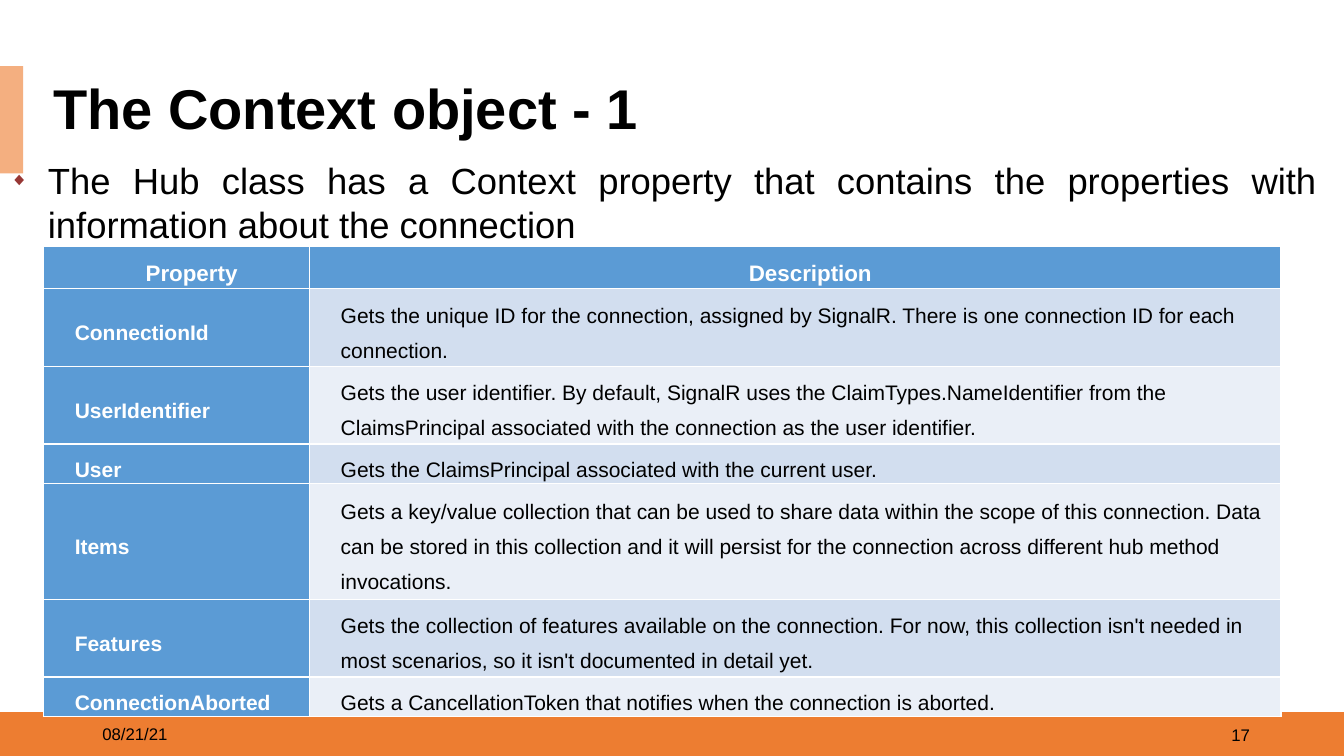
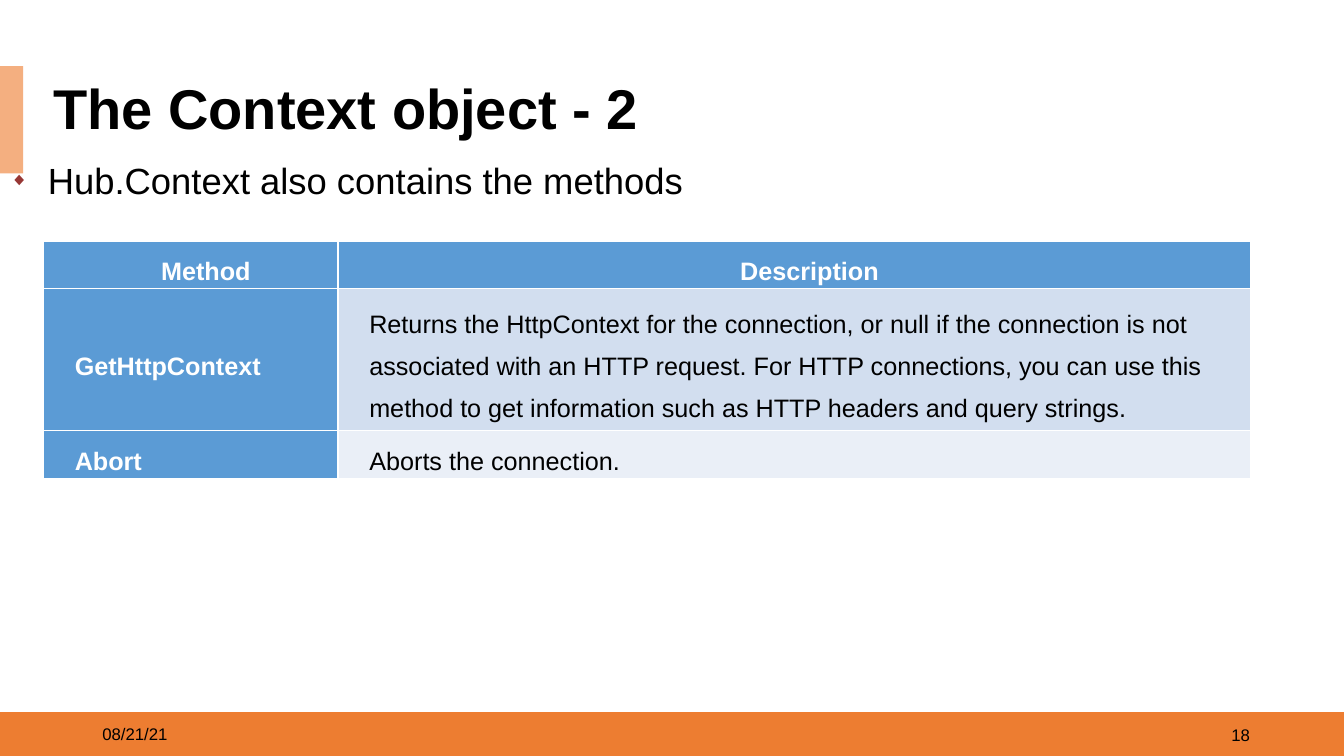
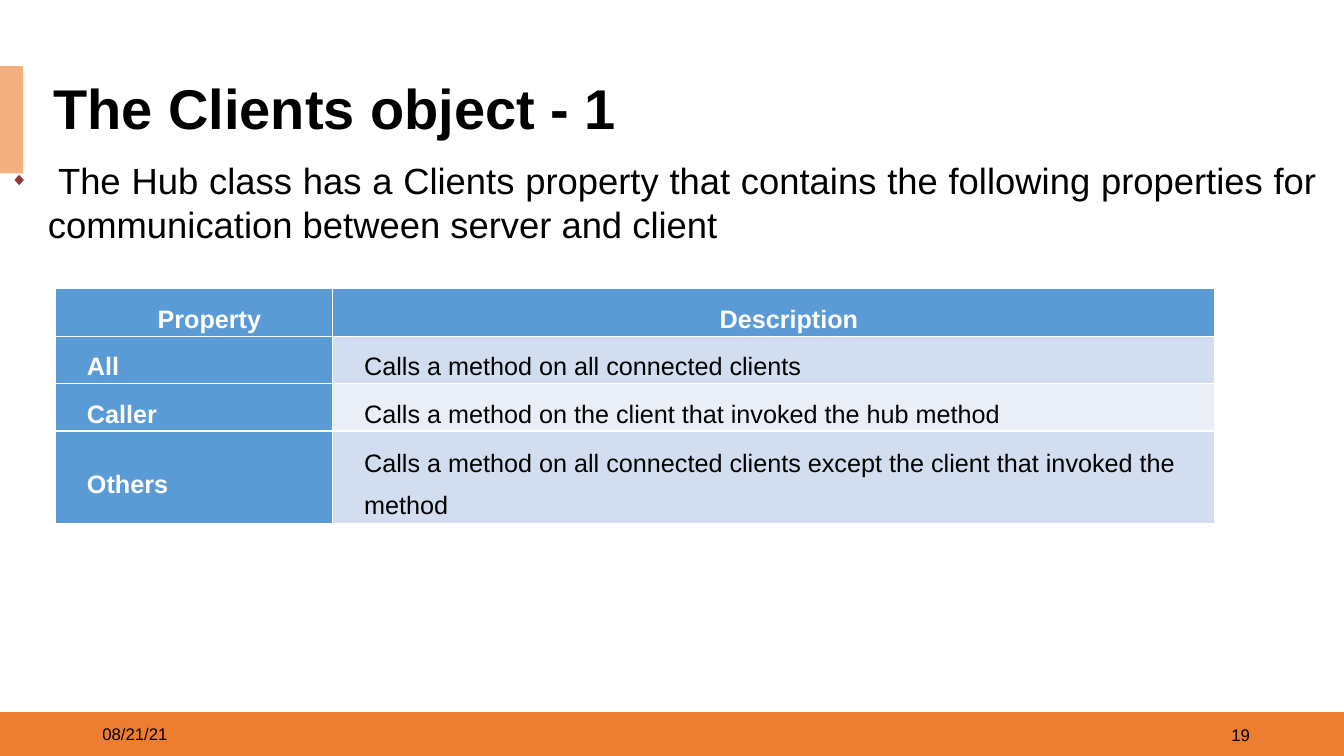
from lxml import etree
from pptx import Presentation
from pptx.dml.color import RGBColor
from pptx.enum.shapes import MSO_SHAPE
from pptx.enum.text import MSO_ANCHOR, MSO_AUTO_SIZE, PP_ALIGN
from pptx.oxml.ns import qn
from pptx.util import Pt

RECT = MSO_SHAPE.RECTANGLE
MIDDLE = MSO_ANCHOR.MIDDLE
NO_FIT = MSO_AUTO_SIZE.NONE
LEFT, CENTER, RIGHT, JUSTIFY = PP_ALIGN.LEFT, PP_ALIGN.CENTER, PP_ALIGN.RIGHT, PP_ALIGN.JUSTIFY

COLORS = {
    "text": "000000",
    "white": "FFFFFF",
    "footer": "ED7D31",
    "accent": "F4AF80",
    "bullet": "973735",
    "header": "5B9BD5",
    "odd": "D2DEEF",
    "even": "EAEFF7",
}
FONT = "Arial"
DATE = "08/21/21"
FIRST_NUMBER = 17

# Table boxes are left, top; widths and heights are in points
SLIDES = [
    {
        "title": "The Context object - 1",
        "body": "The Hub class has a Context property that contains the properties "
                "with information about the connection",
        "at": (31, 175.9), "cols": (190, 694), "sizes": (16, 15),
        "heights": (27.4, 54, 54, 27.4, 80, 54, 27.4),
        "rows": [
            ("Property", "Description"),
            ("ConnectionId", "Gets the unique ID for the connection, assigned by SignalR. "
             "There is one connection ID for each connection."),
            ("UserIdentifier", "Gets the user identifier. By default, SignalR uses the "
             "ClaimTypes.NameIdentifier from the ClaimsPrincipal associated with the "
             "connection as the user identifier."),
            ("User", "Gets the ClaimsPrincipal associated with the current user."),
            ("Items", "Gets a key/value collection that can be used to share data within "
             "the scope of this connection. Data can be stored in this collection and it "
             "will persist for the connection across different hub method invocations."),
            ("Features", "Gets the collection of features available on the connection. "
             "For now, this collection isn't needed in most scenarios, so it isn't "
             "documented in detail yet."),
            ("ConnectionAborted", "Gets a CancellationToken that notifies when the "
             "connection is aborted."),
        ],
    },
    {
        "title": "The Context object - 2",
        "body": "Hub.Context also contains the methods",
        "at": (31, 172.4), "cols": (210.4, 652), "sizes": (18, 18),
        "heights": (32.4, 101.5, 32.4),
        "rows": [
            ("Method", "Description"),
            ("GetHttpContext", "Returns the HttpContext for the connection, or null if the "
             "connection is not associated with an HTTP request. For HTTP connections, you "
             "can use this method to get information such as HTTP headers and query strings."),
            ("Abort", "Aborts the connection."),
        ],
    },
    {
        "title": "The Clients object - 1",
        "body": " The Hub class has a Clients property that contains the following "
                "properties for communication between server and client",
        "at": (39.7, 206.2), "cols": (198, 630), "sizes": (18, 18),
        "heights": (33.4, 33.4, 33.4, 66),
        "rows": [
            ("Property", "Description"),
            ("All", "Calls a method on all connected clients"),
            ("Caller", "Calls a method on the client that invoked the hub method"),
            ("Others", "Calls a method on all connected clients except the client that "
             "invoked the method"),
        ],
    },
]


def write(tf, text, size, color="text", bold=False, align=LEFT, spacing=1.0):
    p = tf.paragraphs[0]
    p.text = text
    p.alignment = align
    p.line_spacing = spacing
    p.font.name = FONT
    p.font.size = Pt(size)
    p.font.bold = bold
    p.font.color.rgb = RGBColor.from_string(COLORS[color])
    return p


def paint(fill, color):
    fill.solid()
    fill.fore_color.rgb = RGBColor.from_string(COLORS[color])


prs = Presentation()
prs.slide_width, prs.slide_height = Pt(960), Pt(540)
layout = prs.slide_layouts[1]

# Shared title and body places
for sp, box in zip(layout.placeholders, [(31, 56.9, 905.8, 45.4), (0, 109.4, 949, 211)]):
    sp.left, sp.top, sp.width, sp.height = map(Pt, box)

for number, content in enumerate(SLIDES, FIRST_NUMBER):
    s = prs.slides.add_slide(layout)

    # Bands, moved to the layout so that every slide shows them
    if number == FIRST_NUMBER:
        for color, box in [("footer", (0, 508.7, 960, 31.3)), ("accent", (0, 47.3, 16.6, 76.5))]:
            sp = s.shapes.add_shape(RECT, *map(Pt, box))
            sp.shadow.inherit = False
            paint(sp.fill, color)
            sp.line.fill.background()
            layout.shapes.element.append(sp.element)

    # Title
    title = s.shapes.title
    paint(title.fill, "white")
    tf = title.text_frame
    tf.auto_size = NO_FIT
    tf.vertical_anchor = MIDDLE
    write(tf, content["title"], 40, bold=True, spacing=0.9)

    # Bulleted statement
    tf = s.placeholders[1].text_frame
    tf.auto_size = NO_FIT
    p = write(tf, content["body"], 26, align=JUSTIFY)
    p.space_before = p.space_after = Pt(3)
    pPr = p._p.get_or_add_pPr()
    pPr.set("marL", str(Pt(27)))
    pPr.set("indent", str(-Pt(27)))
    defaults = pPr.find(qn("a:defRPr"))
    for tag, key, value in [("buClr", None, None), ("buSzPct", "val", "50000"),
                            ("buFont", "typeface", FONT), ("buChar", "char", "◆")]:
        bullet = etree.Element(qn("a:" + tag))
        if key:
            bullet.set(key, value)
        else:
            etree.SubElement(bullet, qn("a:srgbClr")).set("val", COLORS["bullet"])
        defaults.addprevious(bullet)

    # Date and slide number
    for text, left, top, align in [(DATE, 66, 509.8, LEFT), (str(number), 684, 510.5, RIGHT)]:
        tf = s.shapes.add_textbox(Pt(left), Pt(top), Pt(216), Pt(28.8)).text_frame
        tf.word_wrap = True
        tf.vertical_anchor = MIDDLE
        write(tf, text, 12, align=align)

    # Table
    rows, cols, heights = content["rows"], content["cols"], content["heights"]
    left, top = content["at"]
    table = s.shapes.add_table(len(rows), len(cols), Pt(left), Pt(top),
                               Pt(sum(cols)), Pt(sum(heights))).table
    table.first_col = True
    for column, width in zip(table.columns, cols):
        column.width = Pt(width)
    for i, (row, height) in enumerate(zip(rows, heights)):
        table.rows[i].height = Pt(height)
        for j, text in enumerate(row):
            cell = table.cell(i, j)
            is_header = i == 0 or j == 0
            paint(cell.fill, "header" if is_header else "odd" if i % 2 else "even")
            cell.vertical_anchor = MIDDLE
            cell.margin_left = Pt(22.4)
            cell.margin_top = cell.margin_right = cell.margin_bottom = Pt(0.75)
            write(cell.text_frame, text, content["sizes"][min(i, 1)],
                  "white" if is_header else "text", is_header,
                  CENTER if i == 0 else LEFT, 1.5)

prs.save("out.pptx")
